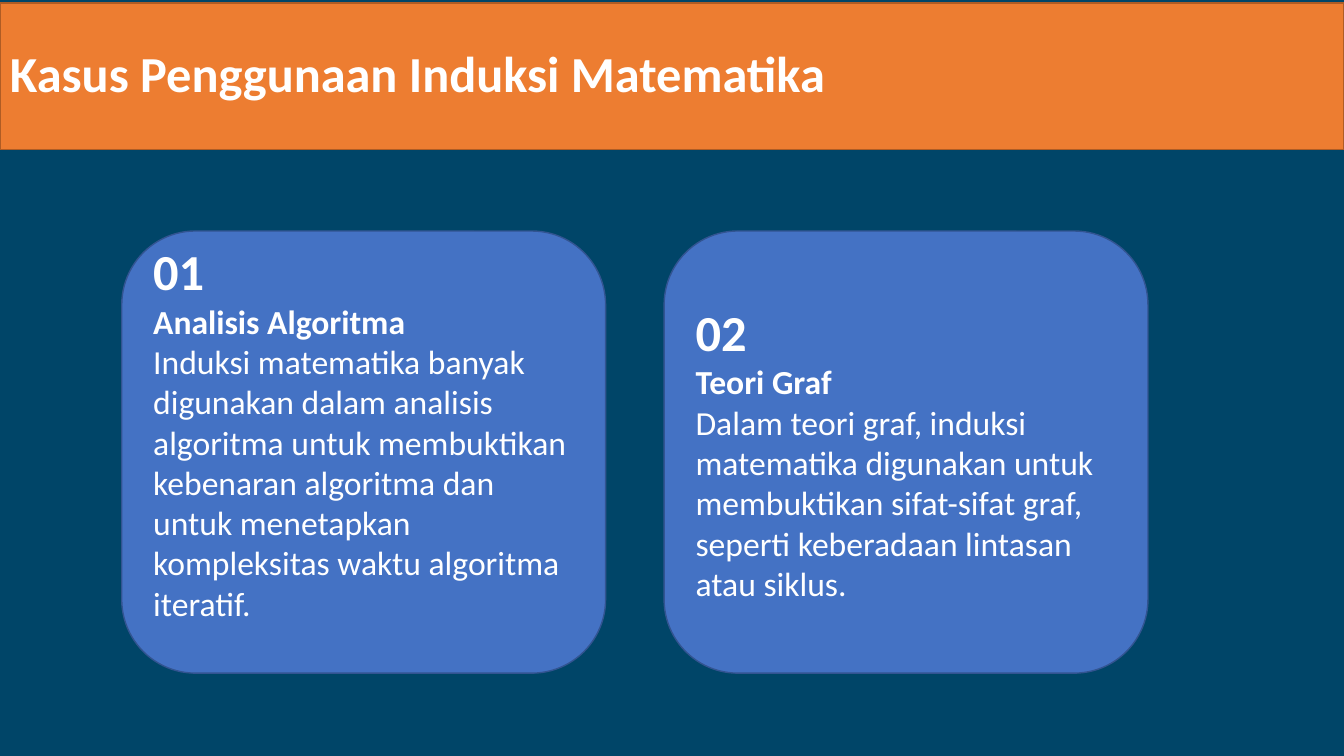
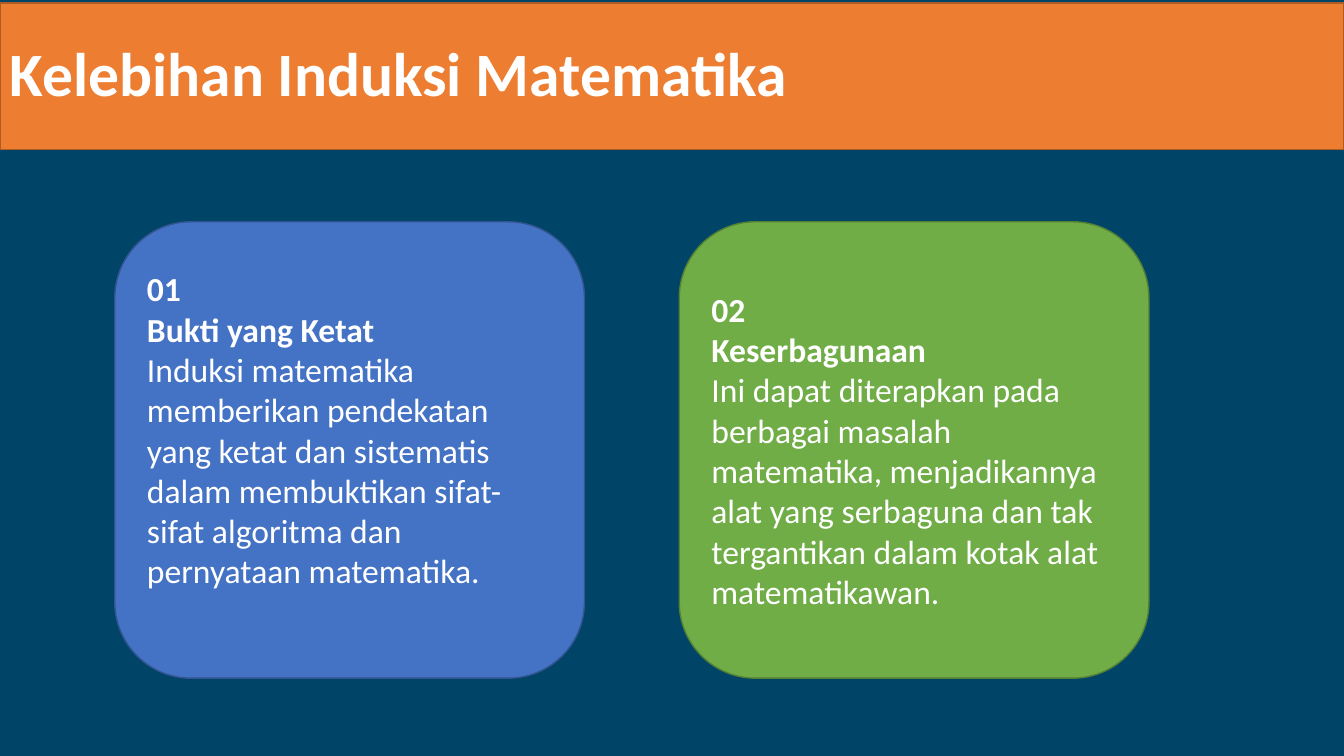
import pptx
import pptx.util
from dataclasses import dataclass
from pptx.dml.color import RGBColor
from pptx.enum.shapes import MSO_SHAPE
from pptx.enum.text import MSO_ANCHOR, PP_ALIGN

Pt = pptx.util.Pt


@dataclass(frozen=True)
class Theme:
    font: str = "Calibri"
    text: str = "FFFFFF"
    backdrop: str = "004568"
    orange: tuple = ("ED7D31", "AF5C24")  # fill, outline
    blue: tuple = ("4472C4", "325491")
    green: tuple = ("70AD47", "538035")
    body_size: int = 24
    large_size: int = 36
    title_size: int = 44


THEME = Theme()
SLIDE_WIDTH, SLIDE_HEIGHT = 960, 540
BAND_TOP, BAND_HEIGHT = 2.2, 104.4
INSET = 3.6
LOWER_INSET = 32.9  # lifts the text by half a line of body text

SLIDES = [
    {
        "title": "Kasus Penggunaan Induksi Matematika",
        "title_size": THEME.large_size,
        "number_size": THEME.large_size,
        "grid": {"left": 87, "top": 165, "width": 345.6, "height": 315.8, "gap": 41.8},
        "cards": [
            ("Analisis Algoritma",
             "Induksi matematika banyak digunakan dalam analisis algoritma untuk "
             "membuktikan kebenaran algoritma dan untuk menetapkan kompleksitas "
             "waktu algoritma iteratif.",
             THEME.blue, LOWER_INSET),
            ("Teori Graf",
             "Dalam teori graf, induksi matematika digunakan untuk membuktikan "
             "sifat-sifat graf, seperti keberadaan lintasan atau siklus.",
             THEME.blue, INSET),
        ],
    },
    {
        "title": "Kelebihan Induksi Matematika",
        "title_size": THEME.title_size,
        "number_size": THEME.body_size,
        "grid": {"left": 82, "top": 158.4, "width": 335.5, "height": 326, "gap": 67.7},
        "cards": [
            ("Bukti yang Ketat",
             "Induksi matematika memberikan pendekatan yang ketat dan sistematis "
             "dalam membuktikan sifat-sifat algoritma dan pernyataan matematika.",
             THEME.blue, LOWER_INSET),
            ("Keserbagunaan",
             "Ini dapat diterapkan pada berbagai masalah matematika, "
             "menjadikannya alat yang serbaguna dan tak tergantikan dalam kotak "
             "alat matematikawan.",
             THEME.green, INSET),
        ],
    },
]


def add_panel(page, kind, bounds, colors, lines, line_spacing=1.0, lower_inset=INSET):
    """Add a filled shape whose lines are (text, size, bold) tuples."""
    panel = page.shapes.add_shape(kind, *(Pt(length) for length in bounds))
    panel.shadow.inherit = False
    fill, outline = colors
    panel.fill.solid()
    panel.fill.fore_color.rgb = RGBColor.from_string(fill)
    panel.line.color.rgb = RGBColor.from_string(outline)
    panel.line.width = Pt(1)

    frame = panel.text_frame
    frame.word_wrap = True
    frame.vertical_anchor = MSO_ANCHOR.MIDDLE
    frame.margin_bottom = Pt(lower_inset)
    for index, (text, size, bold) in enumerate(lines):
        para = frame.add_paragraph() if index else frame.paragraphs[0]
        para.alignment = PP_ALIGN.LEFT
        para.line_spacing = line_spacing
        span = para.add_run()
        span.text = text
        span.font.name = THEME.font
        span.font.size = Pt(size)
        span.font.bold = bold
        span.font.color.rgb = RGBColor.from_string(THEME.text)


def add_page(deck, content):
    page = deck.slides.add_slide(deck.slide_layouts[6])
    page.background.fill.solid()
    page.background.fill.fore_color.rgb = RGBColor.from_string(THEME.backdrop)
    add_panel(page, MSO_SHAPE.RECTANGLE, (0, BAND_TOP, SLIDE_WIDTH, BAND_HEIGHT),
              THEME.orange, [(content["title"], content["title_size"], True)],
              line_spacing=0.9)

    grid = content["grid"]
    for index, (heading, body, colors, lower_inset) in enumerate(content["cards"]):
        left = grid["left"] + index * (grid["width"] + grid["gap"])
        lines = [
            (f"{index + 1:02}", content["number_size"], True),
            (heading, THEME.body_size, True),
            (body, THEME.body_size, False),
        ]
        add_panel(page, MSO_SHAPE.ROUNDED_RECTANGLE,
                  (left, grid["top"], grid["width"], grid["height"]),
                  colors, lines, lower_inset=lower_inset)


def main():
    deck = pptx.Presentation()
    deck.slide_width, deck.slide_height = Pt(SLIDE_WIDTH), Pt(SLIDE_HEIGHT)
    for content in SLIDES:
        add_page(deck, content)
    deck.save("out.pptx")


if __name__ == "__main__":
    main()
